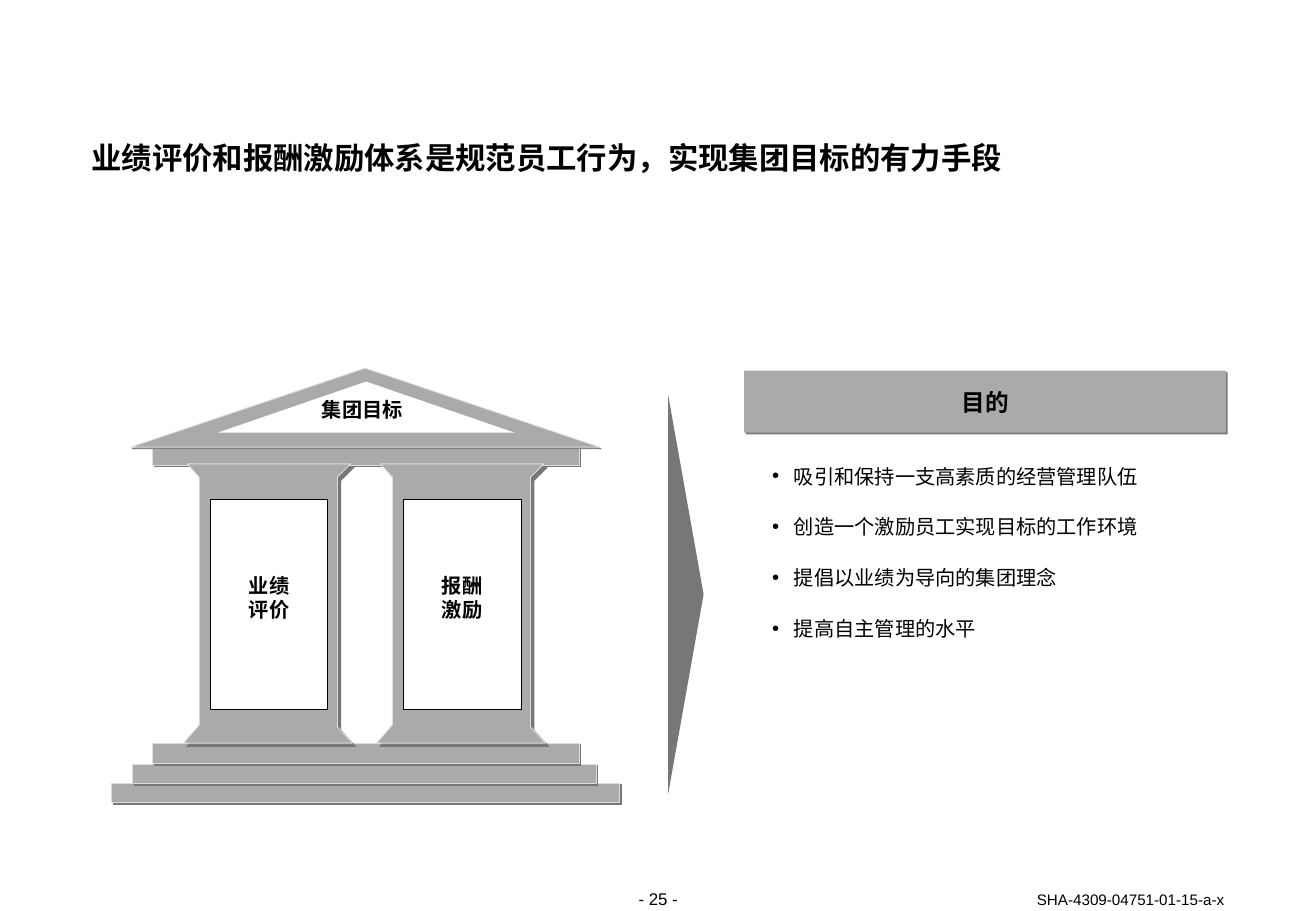
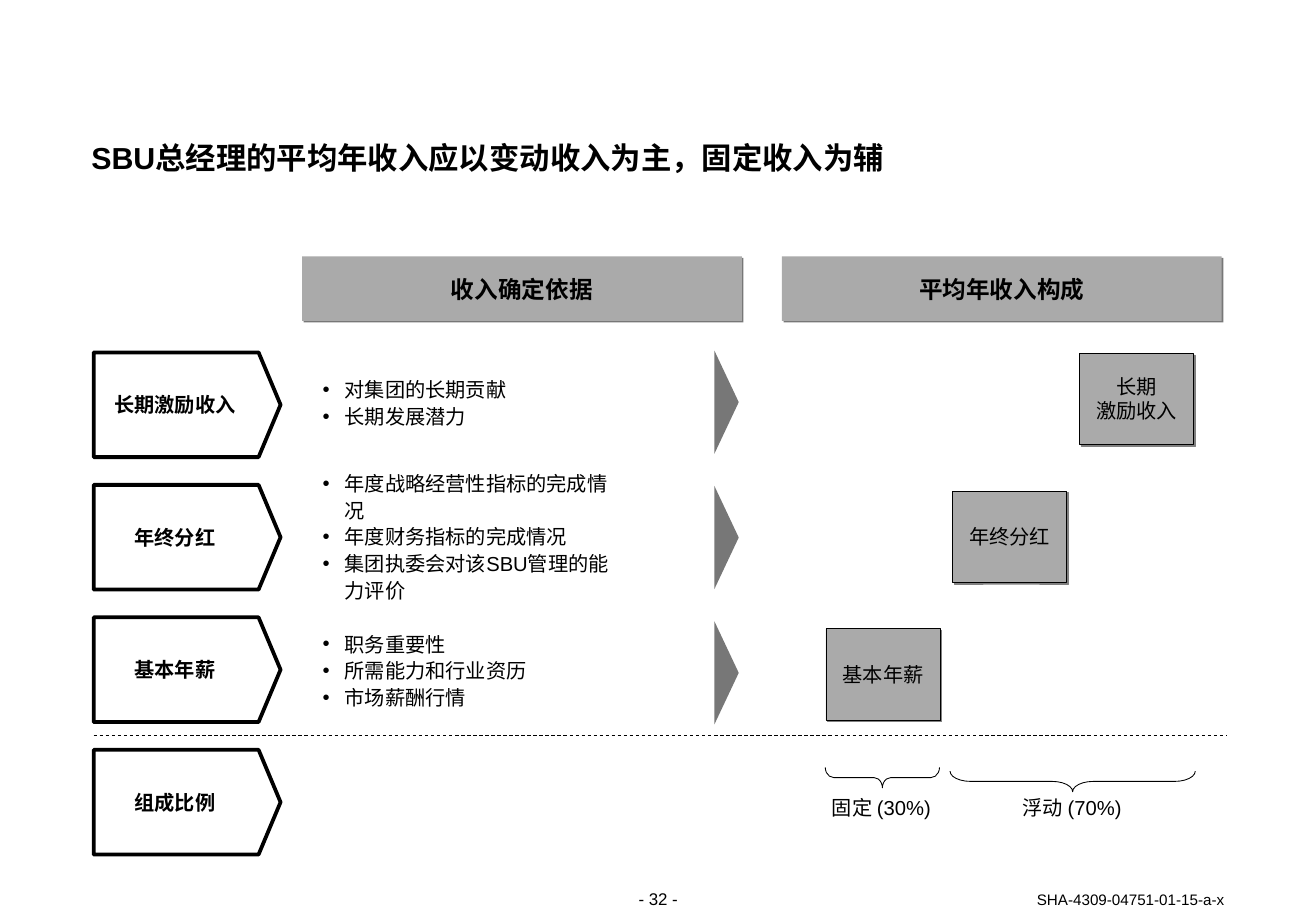
import lxml.etree
import pptx
import pptx.dml.color
import pptx.enum.dml
import pptx.enum.shapes
import pptx.enum.text
import pptx.oxml.ns
import pptx.util

Cm = pptx.util.Cm
Pt = pptx.util.Pt
SHAPE = pptx.enum.shapes.MSO_SHAPE
ALIGN = pptx.enum.text.PP_ALIGN
ANCHOR = pptx.enum.text.MSO_ANCHOR

FONT = "Arial"
COLORS = {
    "text": "000000",
    "paper": "FFFFFF",
    "stone": "AAAAAA",
    "edge": "DDDDDD",
    "shade": "777777",
    "box_shade": "808080",
}
DOCUMENT_CODE = "SHA-4309-04751-01-15-a-x"


def rgb(name):
    return pptx.dml.color.RGBColor.from_string(COLORS[name])


def add_xml(parent, tag, **attributes):
    return lxml.etree.SubElement(parent, pptx.oxml.ns.qn(tag), attributes)


def place(shape, left, top, width, height):
    shape.left, shape.top = Cm(left), Cm(top)
    shape.width, shape.height = Cm(width), Cm(height)


def write_text(shape, text, size=12, bold=False, align=ALIGN.CENTER,
               anchor=ANCHOR.MIDDLE, line_spacing=None):
    """Fill a shape with text; each line of the text becomes a paragraph."""
    frame = shape.text_frame
    frame.text = text
    frame.word_wrap = True
    frame.auto_size = pptx.enum.text.MSO_AUTO_SIZE.NONE
    frame.vertical_anchor = anchor
    frame.margin_left = frame.margin_right = 0
    frame.margin_top = frame.margin_bottom = 0
    for paragraph in frame.paragraphs:
        paragraph.alignment = align
        paragraph.space_before = Pt(0)
        if line_spacing:
            paragraph.line_spacing = line_spacing
        for run in paragraph.runs:
            run.font.name = FONT
            run.font.size = Pt(size)
            run.font.bold = bold
            run.font.color.rgb = rgb("text")


def add_label(slide, text, box, **text_format):
    label = slide.shapes.add_textbox(*map(Cm, box))
    write_text(label, text, **text_format)


def paint(shape, fill=None, line=None, line_width=0.5, shade=None, depth=1.4):
    """Set fill, outline and a hard shadow cast to the lower right."""
    shape.shadow.inherit = False
    if fill:
        shape.fill.solid()
        shape.fill.fore_color.rgb = rgb(fill)
    else:
        shape.fill.background()
    if line:
        shape.line.color.rgb = rgb(line)
        shape.line.width = Pt(line_width)
    else:
        shape.line.fill.background()
    if shade:
        effects = shape._element.spPr.find(pptx.oxml.ns.qn("a:effectLst"))
        shadow = add_xml(effects, "a:outerShdw", blurRad="0", dist=str(Pt(depth)),
                         dir="2700000", algn="tl", rotWithShape="0")
        add_xml(shadow, "a:srgbClr", val=COLORS[shade])


def add_block(slide, kind, box, **look):
    block = slide.shapes.add_shape(kind, *map(Cm, box))
    paint(block, **look)
    return block


def add_sideways(slide, kind, center_x, center_y, thickness, length, turned, **look):
    """Add a shape turned by 270 degrees; turned is its size before turning."""
    width, height = (thickness, length) if turned == "brace" else (length, thickness)
    box = (center_x - width / 2, center_y - height / 2, width, height)
    shape = add_block(slide, kind, box, **look)
    shape.rotation = 270
    return shape


def add_pointer(slide, center_x, center_y, thickness, length):
    add_sideways(slide, SHAPE.FLOWCHART_MERGE, center_x, center_y, thickness,
                 length, "pointer", fill="shade")


def add_brace(slide, center_x, center_y, length, curve):
    brace = add_sideways(slide, SHAPE.LEFT_BRACE, center_x, center_y, 0.43,
                         length, "brace", line="text")
    brace.adjustments[0] = curve


def add_header(slide, text, box):
    header = add_block(slide, SHAPE.RECTANGLE, box, fill="stone", shade="shade")
    write_text(header, text, size=14, bold=True)


def fill_list(placeholder, items, box, line_spacing, anchor):
    place(placeholder, *box)
    placeholder.text_frame.text = "\n".join(items)
    write_text(placeholder, "\n".join(items), align=ALIGN.LEFT, anchor=anchor)
    for paragraph in placeholder.text_frame.paragraphs:
        properties = paragraph._p.get_or_add_pPr()
        properties.set("marL", str(Cm(0.48)))
        properties.set("indent", str(Cm(-0.46)))
        add_xml(add_xml(properties, "a:buClr"), "a:srgbClr", val=COLORS["text"])
        add_xml(properties, "a:buFont", typeface=FONT)
        add_xml(properties, "a:buChar", char="•")
        paragraph.line_spacing = line_spacing


def add_slide(presentation, layout_index, title, page):
    """Add a slide with the shared title style, page number and document code."""
    slide = presentation.slides.add_slide(presentation.slide_layouts[layout_index])
    place(slide.shapes.title, 1.91, 2.97, 23.7, 0.71)
    write_text(slide.shapes.title, title, size=18, bold=True, align=ALIGN.LEFT,
               anchor=ANCHOR.TOP, line_spacing=Pt(20))
    add_label(slide, f"- {page} -", (12.32, 18.59, 2.9, 0.43), size=10,
              anchor=ANCHOR.TOP)
    add_label(slide, DOCUMENT_CODE, (19.41, 18.62, 6.2, 0.38), size=9,
              align=ALIGN.RIGHT, anchor=ANCHOR.BOTTOM, line_spacing=Pt(11))
    return slide


def add_pillar(slide, left, text):
    top = 9.7
    outline = [(0.08, 0), (3.5, 0), (3.22, 0.28), (3.22, 5.5),
               (3.53, 5.84), (0, 5.84), (0.33, 5.46), (0.33, 0.28)]
    points = [(Cm(left + x), Cm(top + y)) for x, y in outline]
    builder = slide.shapes.build_freeform(*points[0])
    builder.add_line_segments(points[1:], close=True)
    paint(builder.convert_to_shape(), fill="stone", line="edge", shade="shade", depth=2.8)
    panel = add_block(slide, SHAPE.RECTANGLE, (left + 0.56, top + 0.74, 2.46, 4.39),
                      fill="paper", line="text")
    write_text(panel, text, bold=True)
    panel.text_frame.margin_bottom = Cm(0.28)


def add_temple(slide):
    stone = {"fill": "stone", "line": "edge", "shade": "shade"}
    steps_and_beam = [(2.34, 16.38, 10.62, 0.41), (2.77, 15.98, 9.7, 0.41),
                      (3.2, 15.54, 8.92, 0.43), (3.2, 9.37, 8.92, 0.36)]
    for box in steps_and_beam:
        add_block(slide, SHAPE.RECTANGLE, box, **stone)
    add_block(slide, SHAPE.ISOSCELES_TRIANGLE, (2.74, 7.7, 9.8, 1.65), **stone)
    add_block(slide, SHAPE.ISOSCELES_TRIANGLE, (4.55, 7.98, 6.22, 1.07), fill="paper")
    add_label(slide, "集团目标", (6.08, 8.33, 3, 0.49), bold=True, line_spacing=Pt(14))
    for index, text in enumerate(["业绩\n评价", "报酬\n激励"]):
        add_pillar(slide, 3.84 + 4.04 * index, text)


def build_purpose_slide(presentation):
    slide = add_slide(presentation, 1,
                      "业绩评价和报酬激励体系是规范员工行为，实现集团目标的有力手段", 25)
    add_temple(slide)
    add_pointer(slide, 14.35, 12.43, 0.74, 8.33)
    add_header(slide, "目的", (15.57, 7.75, 10.08, 1.3))
    purposes = ["吸引和保持一支高素质的经营管理队伍", "创造一个激励员工实现目标的工作环境",
                "提倡以业绩为导向的集团理念", "提高自主管理的水平"]
    fill_list(slide.placeholders[1], purposes, (16.13, 9.14, 8.66, 4.27), 2.1, ANCHOR.TOP)


def add_row_label(slide, row, text):
    label = add_block(slide, SHAPE.PENTAGON, (1.96, 7.37 + 2.77 * row, 3.91, 2.19),
                      line="text", line_width=2.25)
    label.adjustments[0] = 0.21
    write_text(label, text, bold=True)
    label.text_frame.margin_right = Cm(0.28)


def add_separator(slide):
    line = slide.shapes.add_connector(pptx.enum.shapes.MSO_CONNECTOR.STRAIGHT,
                                      Cm(1.96), Cm(15.37), Cm(25.65), Cm(15.37))
    line.line.color.rgb = rgb("text")
    line.line.width = Pt(0.5)
    line.line.dash_style = pptx.enum.dml.MSO_LINE.DASH
    add_xml(line._element.spPr, "a:effectLst")


def build_income_slide(presentation):
    slide = add_slide(presentation, 4,
                      "SBU总经理的平均年收入应以变动收入为主，固定收入为辅", 32)
    for left, text in [(6.32, "收入确定依据"), (16.36, "平均年收入构成")]:
        add_header(slide, text, (left, 5.36, 9.2, 1.35))

    rows = [
        ("长期激励收入", "长期\n激励收入", ["对集团的长期贡献", "长期发展潜力"]),
        ("年终分红", "年终分红", ["年度战略经营性指标的完成情况", "年度财务指标的完成情况",
                          "集团执委会对该SBU管理的能力评价"]),
        ("基本年薪", "基本年薪", ["职务重要性", "所需能力和行业资历", "市场薪酬行情"]),
    ]
    *bodies, spare = [shape for shape in slide.placeholders
                      if shape.placeholder_format.idx > 0]
    spare._element.getparent().remove(spare._element)
    for row, (label, income, grounds) in enumerate(rows):
        add_row_label(slide, row, label)
        fill_list(bodies[row], grounds, (6.73, 7 + 2.8 * row, 6.05, 2.8), 1.1,
                  ANCHOR.MIDDLE)
        add_pointer(slide, 15.2, 8.41 + 2.83 * row, 0.51, 2.16)
        box = add_block(slide, SHAPE.RECTANGLE,
                        (22.58 - 2.65 * row, 7.39 + 2.88 * row, 2.39, 1.91),
                        fill="stone", line="text", shade="box_shade")
        write_text(box, income, line_spacing=Pt(14))

    add_separator(slide)
    add_row_label(slide, len(rows), "组成比例")
    add_brace(slide, 18.46, 16.26, 2.39, 0.41)
    add_brace(slide, 22.44, 16.34, 5.13, 1)
    for center, text in [(18.44, "固定 (30%)"), (22.43, "浮动 (70%)")]:
        add_label(slide, text, (center - 1.5, 16.64, 3, 0.49), line_spacing=Pt(14))


def main():
    presentation = pptx.Presentation()
    presentation.slide_width = Cm(27.53)
    presentation.slide_height = Cm(19.05)
    build_purpose_slide(presentation)
    build_income_slide(presentation)
    presentation.save("out.pptx")


if __name__ == "__main__":
    main()
